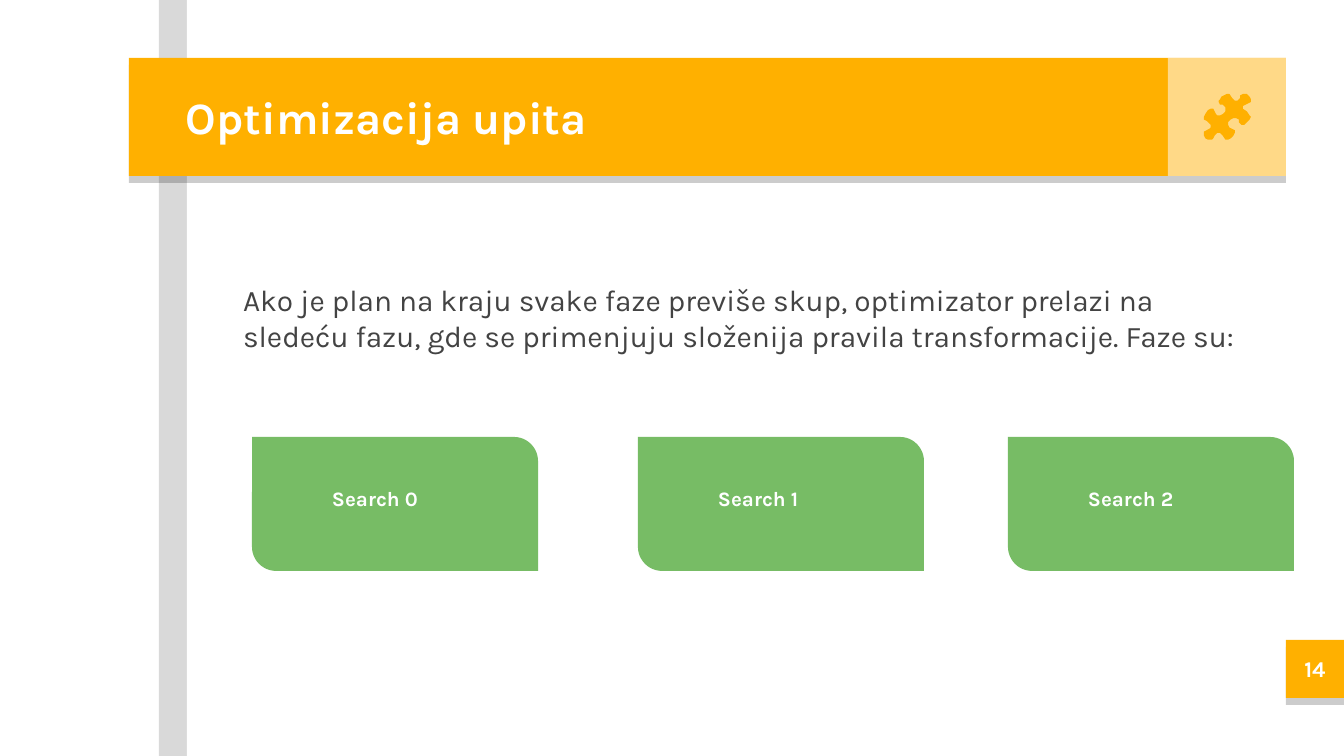
from lxml.etree import SubElement
from pptx import Presentation
from pptx.dml.color import RGBColor
from pptx.enum.shapes import MSO_SHAPE as Preset
from pptx.enum.text import MSO_ANCHOR as Anchor, MSO_AUTO_SIZE as AutoSize, PP_ALIGN as Align
from pptx.oxml.ns import qn
from pptx.util import Pt

EMU_PER_PX = 914400 / 134.4
WIDTH, HEIGHT = 1344, 756
INSET = 13

WHITE = RGBColor(0xFF, 0xFF, 0xFF)
AMBER = RGBColor(0xFF, 0xB0, 0x00)
GREEN = RGBColor(0x77, 0xBC, 0x65)
DARK_GREY = RGBColor(0x43, 0x43, 0x43)

TITLE_FONT = {"name": "Karla", "size": Pt(24), "bold": True}
BODY_FONT = {"name": "Karla", "size": Pt(16), "bold": False}
NUMBER_FONT = {"name": "Karla", "size": Pt(12), "bold": True}
CARD_FONT = {"name": "Karla", "size": Pt(11), "bold": True}

CARDS = {"Search 0": 252, "Search 1": 638, "Search 2": 1008}

# Outline of the puzzle piece on a grid of 35 by 35
PUZZLE_GRID = 35
PUZZLE = [
    (17, 0), (15, 1), (13, 2), (12, 4), (11, 5), (11, 6), (12, 8), (14, 8),
    (16, 10), (16, 13), (14, 15), (12, 16), (10, 16), (9, 15), (8, 13), (7, 11),
    (5, 11), (3, 12), (1, 15), (0, 17), (0, 19), (2, 20), (5, 23), (5, 25),
    (4, 26), (2, 27), (0, 28), (0, 31), (1, 33), (3, 34), (6, 34), (7, 33),
    (8, 31), (10, 29), (12, 29), (14, 31), (16, 34), (18, 34), (20, 33), (22, 31),
    (23, 29), (23, 27), (21, 26), (19, 25), (18, 23), (18, 21), (20, 19), (22, 18),
    (24, 18), (26, 19), (26, 21), (28, 23), (30, 23), (32, 21), (34, 19), (35, 17),
    (34, 16), (32, 13), (29, 11), (29, 9), (31, 8), (33, 7), (35, 6), (35, 4),
    (34, 2), (32, 0), (29, 0), (27, 1), (27, 3), (25, 5), (23, 5), (21, 3), (19, 0),
]


def px(length):
    return round(length * EMU_PER_PX)


def set_attributes(target, values):
    for name, value in values.items():
        setattr(target, name, value)


def paint(shape, color):
    """Give a flat fill with no outline and no shadow."""
    shape.shadow.inherit = False
    shape.fill.solid()
    shape.fill.fore_color.rgb = color
    shape.line.fill.background()


def add_block(shapes, box, color, preset=Preset.RECTANGLE):
    shape = shapes.add_shape(preset, *map(px, box))
    paint(shape, color)
    return shape


def add_shadow(shape, distance, degrees, opacity):
    """Cast a hard black shadow; distance in points, opacity in percent."""
    effects = shape.element.spPr.find(qn("a:effectLst"))
    shadow = SubElement(effects, qn("a:outerShdw"), dist=str(Pt(distance)),
                        dir=str(degrees * 60000), algn="bl", rotWithShape="0")
    black = SubElement(shadow, qn("a:srgbClr"), val="000000")
    SubElement(black, qn("a:alpha"), val=str(opacity * 1000))


def write(shape, text, font, color, anchor=Anchor.TOP, align=Align.LEFT):
    frame = shape.text_frame
    set_attributes(frame, {"word_wrap": True, "auto_size": AutoSize.NONE, "vertical_anchor": anchor})
    set_attributes(frame, dict.fromkeys(
        ("margin_left", "margin_top", "margin_right", "margin_bottom"), px(INSET)))
    frame.text = text
    paragraph = frame.paragraphs[0]
    set_attributes(paragraph, {"alignment": align, "space_before": Pt(0)})
    set_attributes(paragraph.font, font)
    paragraph.font.color.rgb = color
    return paragraph


def place(shape, box):
    """Move a placeholder to the box and in front of everything drawn so far."""
    set_attributes(shape, dict(zip(("left", "top", "width", "height"), map(px, box))))
    shape.element.getparent().append(shape.element)


def add_panel(slide, box):
    panel = add_block(slide.shapes, box, WHITE)
    add_shadow(panel, 15, 180, 15)


def add_puzzle(slide, left, top, size):
    builder = slide.shapes.build_freeform(*PUZZLE[0], scale=px(size) / PUZZLE_GRID)
    builder.add_line_segments(PUZZLE[1:], close=True)
    paint(builder.convert_to_shape(px(left), px(top)), AMBER)


def add_banner(slide, box, title):
    left, top, width, height = box
    banner = add_block(slide.shapes, box, AMBER)
    add_shadow(banner, 3.7, 90, 20)

    tile_left = left + width - height
    tile = add_block(slide.shapes, (tile_left, top, height, height), WHITE)
    tint = tile.element.spPr.find(qn("a:solidFill"))[0]
    SubElement(tint, qn("a:alpha"), val="53000")
    add_puzzle(slide, tile_left + 36, top + 36, 47)

    place(slide.shapes.title, (left + 44, top, 991, height))
    write(slide.shapes.title, title, TITLE_FONT, WHITE, Anchor.MIDDLE)


def add_body(slide, box, text):
    body = slide.placeholders[1]
    place(body, box)
    paragraph = write(body, text, BODY_FONT, DARK_GREY)
    properties = paragraph._p.get_or_add_pPr()
    properties.set("marL", "0")
    properties.set("indent", "0")
    bullet = SubElement(properties, qn("a:buNone"))
    properties.find(qn("a:defRPr")).addprevious(bullet)


def add_page_number(slide, box, number):
    badge = add_block(slide.shapes, box, AMBER)
    add_shadow(badge, 3.7, 90, 20)
    write(badge, number, NUMBER_FONT, WHITE, Anchor.MIDDLE, Align.CENTER)


def add_card(slide, box, text):
    left, top, width, height = box
    group = slide.shapes.add_group_shape()
    card = add_block(group.shapes, box, GREEN, Preset.ROUND_2_DIAG_RECTANGLE)
    card.adjustments[0] = 0
    card.adjustments[1] = 0.18
    label = add_block(group.shapes, (left + 67, top + 34, 214, 56), GREEN)
    paragraph = write(label, text, CARD_FONT, WHITE)
    set_attributes(paragraph, {"line_spacing": 1.08, "space_after": Pt(8)})


def main():
    presentation = Presentation()
    set_attributes(presentation, {"slide_width": px(WIDTH), "slide_height": px(HEIGHT)})
    slide = presentation.slides.add_slide(presentation.slide_layouts[1])

    add_panel(slide, (187, 0, WIDTH - 187, HEIGHT))
    add_banner(slide, (129, 58, 1157, 118), "Optimizacija upita")
    add_body(slide, (230, 269, 1047, 470),
             "Ako je plan na kraju svake faze previše skup, optimizator prelazi na "
             "sledeću fazu, gde se primenjuju složenija pravila transformacije. Faze su:")
    add_page_number(slide, (1286, 640, 58, 58), "14")
    for text, left in CARDS.items():
        add_card(slide, (left, 437, 286, 134), text)

    presentation.save("out.pptx")


if __name__ == "__main__":
    main()
